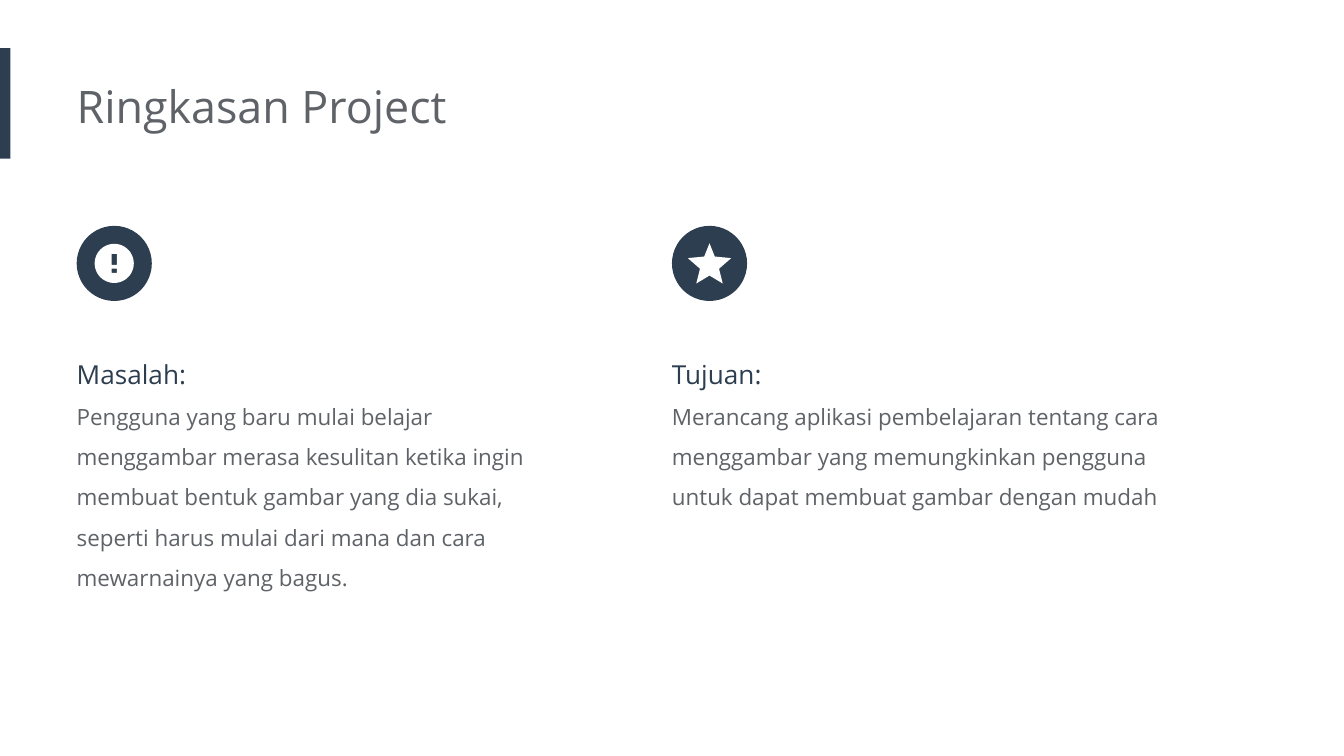
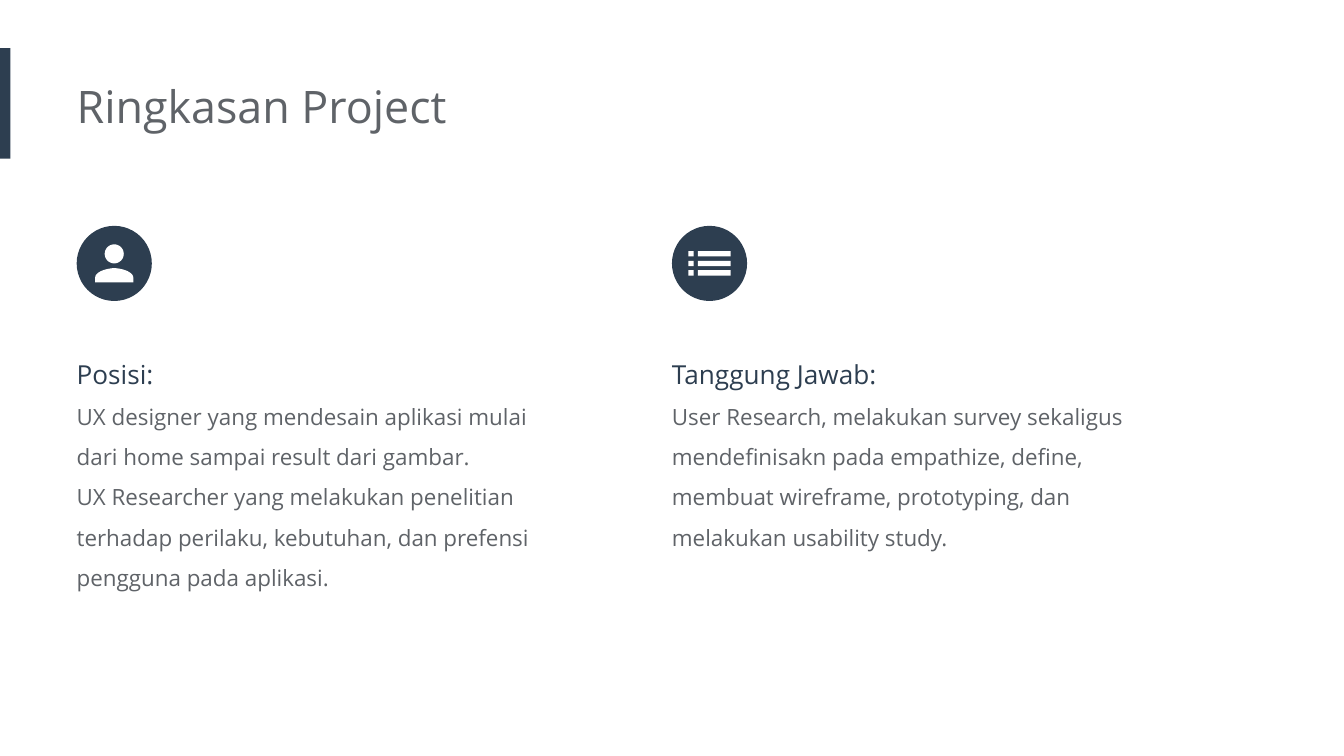
import math
from pptx import Presentation, util as u
from pptx.dml.color import RGBColor
from pptx.enum import shapes as sh, text as tx

Cm = u.Cm

# Content: for each slide, (icon, heading, body paragraphs, body lines) per column
TITLE = "Ringkasan Project"
SLIDES = [
    [
        ("alert", "Masalah:", [
            "Pengguna yang baru mulai belajar menggambar merasa kesulitan ketika ingin "
            "membuat bentuk gambar yang dia sukai, seperti harus mulai dari mana dan cara "
            "mewarnainya yang bagus."], 5),
        ("star", "Tujuan:", [
            "Merancang aplikasi pembelajaran tentang cara menggambar yang memungkinkan "
            "pengguna untuk dapat membuat gambar dengan mudah"], 3),
    ],
    [
        ("person", "Posisi:", [
            "UX designer yang mendesain aplikasi mulai dari home sampai result dari gambar.",
            "UX Researcher yang melakukan penelitian terhadap perilaku, kebutuhan, dan "
            "prefensi pengguna pada aplikasi."], 5),
        ("list", "Tanggung Jawab:", [
            "User Research, melakukan survey sekaligus mendefinisakn pada empathize, "
            "define, membuat wireframe, prototyping, dan melakukan usability study."], 4),
    ],
]

# Style and layout, in centimetres
COLORS = {"navy": "2D3E50", "gray": "5F6368", "white": "FFFFFF"}
FONT = "Open Sans"
LEFT = 1.45
COLS = [LEFT, 12.7]
BADGE_TOP, BADGE = 4.27, 1.42
TEXT_TOP, TEXT_W = 6.22, 9.58
BASE_H, LINE_H = 1.38, 0.78


def color(name):
    return RGBColor.from_string(COLORS[name])


# Icon outlines, in centimetres from the badge centre
def ring(y, r, steps=48):
    turns = [2 * math.pi * i / steps for i in range(steps)]
    return [(r * math.cos(a), y + r * math.sin(a)) for a in turns]


def box(x1, y1, x2, y2):
    return [(x1, y1), (x2, y1), (x2, y2), (x1, y2)]


def curve(a, b, c, d, steps=16):
    pts = []
    for i in range(steps + 1):
        t = i / steps
        w = ((1 - t) ** 3, 3 * t * (1 - t) ** 2, 3 * t * t * (1 - t), t ** 3)
        pts.append(tuple(sum(k * p[n] for k, p in zip(w, (a, b, c, d))) for n in (0, 1)))
    return pts


def mirror(half):
    """Close a right half, running from axis to base, with its left twin."""
    return half + [(-x, y) for x, y in reversed(half) if x]


ICONS = {
    "alert": [ring(0, 0.37), box(-0.05, -0.18, 0.05, 0.03), box(-0.05, 0.1, 0.05, 0.18)],
    "star": [mirror([(0, -0.38), (0.1, -0.13), (0.41, -0.1), (0.18, 0.1),
                     (0.25, 0.38), (0, 0.23)])],
    "person": [ring(-0.18, 0.18),
               mirror(curve((0, 0.09), (0.12, 0.09), (0.36, 0.15), (0.36, 0.27))
                      + [(0.36, 0.36)])],
    "list": [box(x1, y - 0.05, x2, y + 0.05)
             for y in (-0.18, 0, 0.18) for x1, x2 in ((-0.4, -0.3), (-0.22, 0.4))],
}


# Drawing helpers
def paint(shape, name):
    shape.shadow.inherit = False
    shape.fill.solid()
    shape.fill.fore_color.rgb = color(name)
    shape.line.fill.background()


def block(slide, kind, x, y, w, h):
    paint(slide.shapes.add_shape(kind, Cm(x), Cm(y), Cm(w), Cm(h)), "navy")


def icon(slide, name, cx, cy):
    paths = [[(Cm(cx + x), Cm(cy + y)) for x, y in part] for part in ICONS[name]]
    form = slide.shapes.build_freeform(*paths[0][0])
    for i, pts in enumerate(paths):
        if i:
            form.move_to(*pts[0])
        form.add_line_segments(pts[1:], close=True)
    paint(form.convert_to_shape(), "white")


def write(slide, x, y, w, h, rows, gap=None):
    """Add a text box; each row is (text, size, colour)."""
    frame = slide.shapes.add_textbox(Cm(x), Cm(y), Cm(w), Cm(h)).text_frame
    frame.word_wrap = True
    frame.auto_size = tx.MSO_AUTO_SIZE.SHAPE_TO_FIT_TEXT
    frame.margin_left = 0
    frame.margin_top = frame.margin_right = frame.margin_bottom = Cm(0.25)
    frame.text = "\n".join(row[0] for row in rows)
    for para, (_, size, name) in zip(frame.paragraphs, rows):
        para.line_spacing = gap
        font = para.runs[0].font
        font.name, font.size = FONT, u.Pt(size)
        font.color.rgb = color(name)


def column(slide, x, name, head, body, lines):
    block(slide, sh.MSO_SHAPE.OVAL, x, BADGE_TOP, BADGE, BADGE)
    icon(slide, name, x + BADGE / 2, BADGE_TOP + BADGE / 2)
    rows = [(head, 14, "navy")] + [(line, 12, "gray") for line in body]
    write(slide, x, TEXT_TOP, TEXT_W, BASE_H + LINE_H * lines, rows, 1.5)


def main():
    prs = Presentation()
    prs.slide_width, prs.slide_height = Cm(25.4), Cm(14.29)
    for cols in SLIDES:
        slide = prs.slides.add_slide(prs.slide_layouts[6])
        # Side band and title
        block(slide, sh.MSO_SHAPE.RECTANGLE, 0, 0.91, 0.2, 2.09)
        write(slide, LEFT, 1.24, 17.1, 1.55, [(TITLE, 24, "gray")])
        # Two columns
        for x, col in zip(COLS, cols):
            column(slide, x, *col)
    prs.save("out.pptx")


if __name__ == "__main__":
    main()
